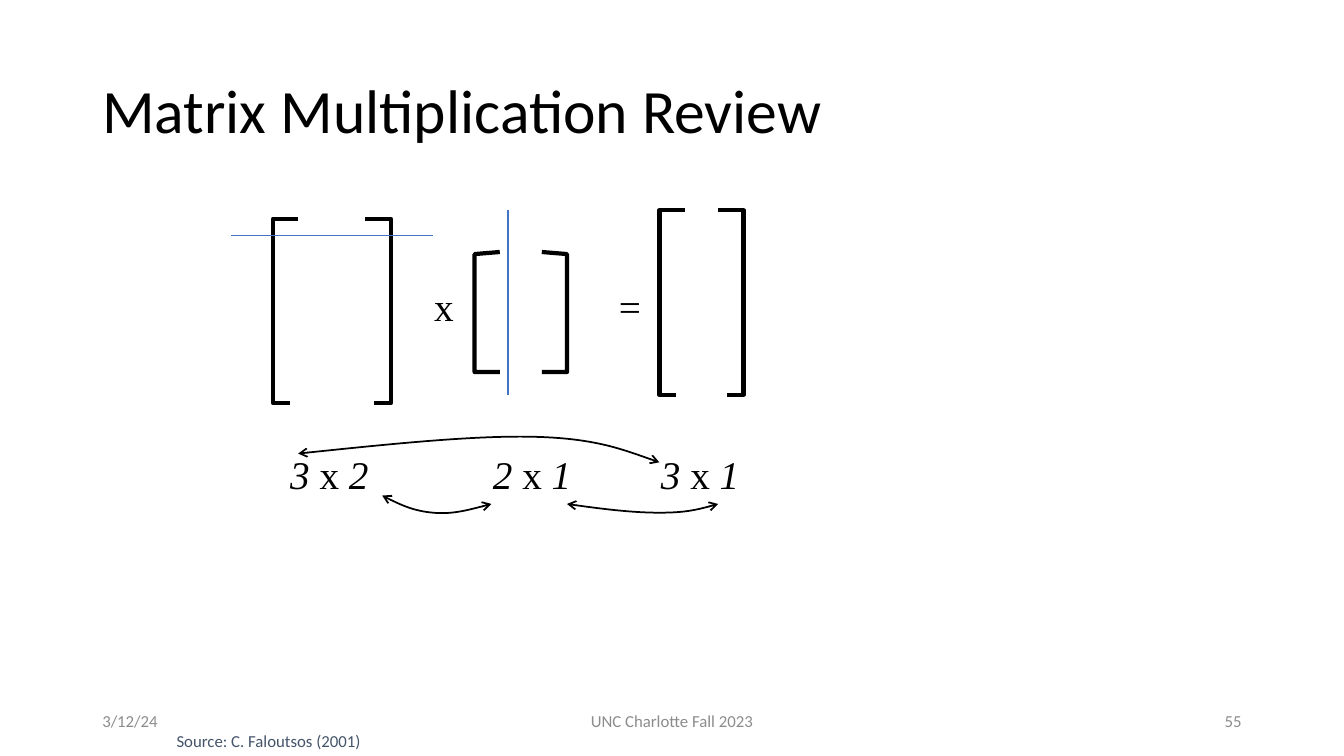
"""Build the Matrix Multiplication Review slide."""
from dataclasses import dataclass

import pptx
import pptx.dml.color
import pptx.enum.shapes
import pptx.enum.text
import pptx.oxml
import pptx.oxml.ns
import pptx.util

Pt = pptx.util.Pt
qn = pptx.oxml.ns.qn
Align = pptx.enum.text.PP_ALIGN
Anchor = pptx.enum.text.MSO_ANCHOR


@dataclass(frozen=True)
class Theme:
    sans: str = "Calibri"
    serif: str = "Times New Roman"
    black: str = "000000"
    gray: str = "8C8C8C"
    slate: str = "44546A"
    blue: str = "4472C4"
    title_size: int = 44
    math_size: int = 28
    small_size: int = 12
    bracket_width: float = 3
    thin_width: float = 1.25


theme = Theme()
presentation = pptx.Presentation()
presentation.slide_width = Pt(960)
presentation.slide_height = Pt(540)
slide = presentation.slides.add_slide(presentation.slide_layouts[6])


def add_text(box, runs, size, font, color, align=Align.LEFT, anchor=Anchor.MIDDLE, wrap=True):
    shape = slide.shapes.add_textbox(*[Pt(length) for length in box])
    frame = shape.text_frame
    frame.word_wrap = wrap
    frame.vertical_anchor = anchor
    paragraph = frame.paragraphs[0]
    paragraph.alignment = align
    for text, italic in runs:
        run = paragraph.add_run()
        run.text = text
        run.font.size = Pt(size)
        run.font.name = font
        run.font.italic = italic
        run.font.color.rgb = pptx.dml.color.RGBColor.from_string(color)
    return paragraph


def add_outline(points, width):
    corners = [(Pt(x), Pt(y)) for x, y in points]
    builder = slide.shapes.build_freeform(*corners[0], scale=1.0)
    builder.add_line_segments(corners[1:], close=False)
    shape = builder.convert_to_shape()
    shape.shadow.inherit = False
    shape.fill.background()
    shape.line.color.rgb = pptx.dml.color.RGBColor.from_string(theme.black)
    shape.line.width = Pt(width)
    line = shape.element.spPr.find(qn("a:ln"))
    line.append(pptx.oxml.parse_xml(f"<a:round {pptx.oxml.ns.nsdecls('a')}/>"))
    return shape


title = add_text((66, 28.75, 828, 104.4), [("Matrix Multiplication Review", False)],
                 theme.title_size, theme.sans, theme.black)
title.line_spacing = 0.9

for left, width, text, align in [
    (66, 216, "3/12/24", Align.LEFT),
    (318, 324, "UNC Charlotte Fall 2023", Align.CENTER),
    (678, 216, "55", Align.RIGHT),
]:
    add_text((left, 500.5, width, 28.75), [(text, False)],
             theme.small_size, theme.sans, theme.gray, align)

for left, width, operator in [(303, 29, "x"), (435, 30.4, "=")]:
    add_text((left, 198, width, 41.2), [(operator, False)],
             theme.math_size, theme.serif, theme.black, wrap=False)

for left, rows, columns in [(200.2, 3, 2), (345, 2, 1), (465, 3, 1)]:
    add_text((left, 318, 70.5, 41.2), [(f"{rows} ", True), ("x", False), (f" {columns}", True)],
             theme.math_size, theme.serif, theme.black, wrap=False)

arm = 18
for left, right, top, bottom, foot, drop in [
    (195, 279, 156.25, 288, 12, 0),
    (339, 405, 180, 265.75, 18, 1.5),
    (471, 531, 150.25, 282, 12, 0),
]:
    for spine, inward in [(left, 1), (right, -1)]:
        add_outline([(spine + inward * arm, top), (spine, top + drop),
                     (spine, bottom), (spine + inward * foot, bottom)], theme.bracket_width)

for curve_points in [
    [(273, 354), (284.5, 360), (296, 365), (309, 366.25), (322, 367.5), (336.5, 364), (351, 360)],
    [(213, 324), (275.5, 317.5), (338, 311), (381, 312), (424, 313), (447.5, 322), (471, 330.25)],
    [(405, 360), (429, 363.5), (453, 366.25), (471, 366.25), (489, 366.25), (501, 363.5), (513, 360)],
]:
    arrow = add_outline(curve_points, theme.thin_width)
    segments = list(arrow.element.iter(qn("a:lnTo")))
    for start in range(0, len(segments), 3):
        curve = pptx.oxml.parse_xml(f"<a:cubicBezTo {pptx.oxml.ns.nsdecls('a')}/>")
        segments[start].addprevious(curve)
        for segment in segments[start:start + 3]:
            curve.append(segment[0])
            segment.getparent().remove(segment)
    arrow_line = arrow.element.spPr.find(qn("a:ln"))
    for end in ("headEnd", "tailEnd"):
        arrow_line.append(pptx.oxml.parse_xml(f'<a:{end} {pptx.oxml.ns.nsdecls("a")} type="arrow"/>'))

for ends in [(165, 168.25, 309, 168.25), (363, 150.25, 363, 282)]:
    marker = slide.shapes.add_connector(pptx.enum.shapes.MSO_CONNECTOR.STRAIGHT,
                                        *[Pt(length) for length in ends])
    marker.line.color.rgb = pptx.dml.color.RGBColor.from_string(theme.blue)
    marker.line.width = Pt(theme.thin_width)
    marker.element.spPr.append(pptx.oxml.parse_xml(f"<a:effectLst {pptx.oxml.ns.nsdecls('a')}/>"))

add_text((119, 518.5, 156, 21.8), [("Source: C. Faloutsos (2001)", False)],
         theme.small_size, theme.sans, theme.slate, anchor=Anchor.TOP)

presentation.save("out.pptx")
